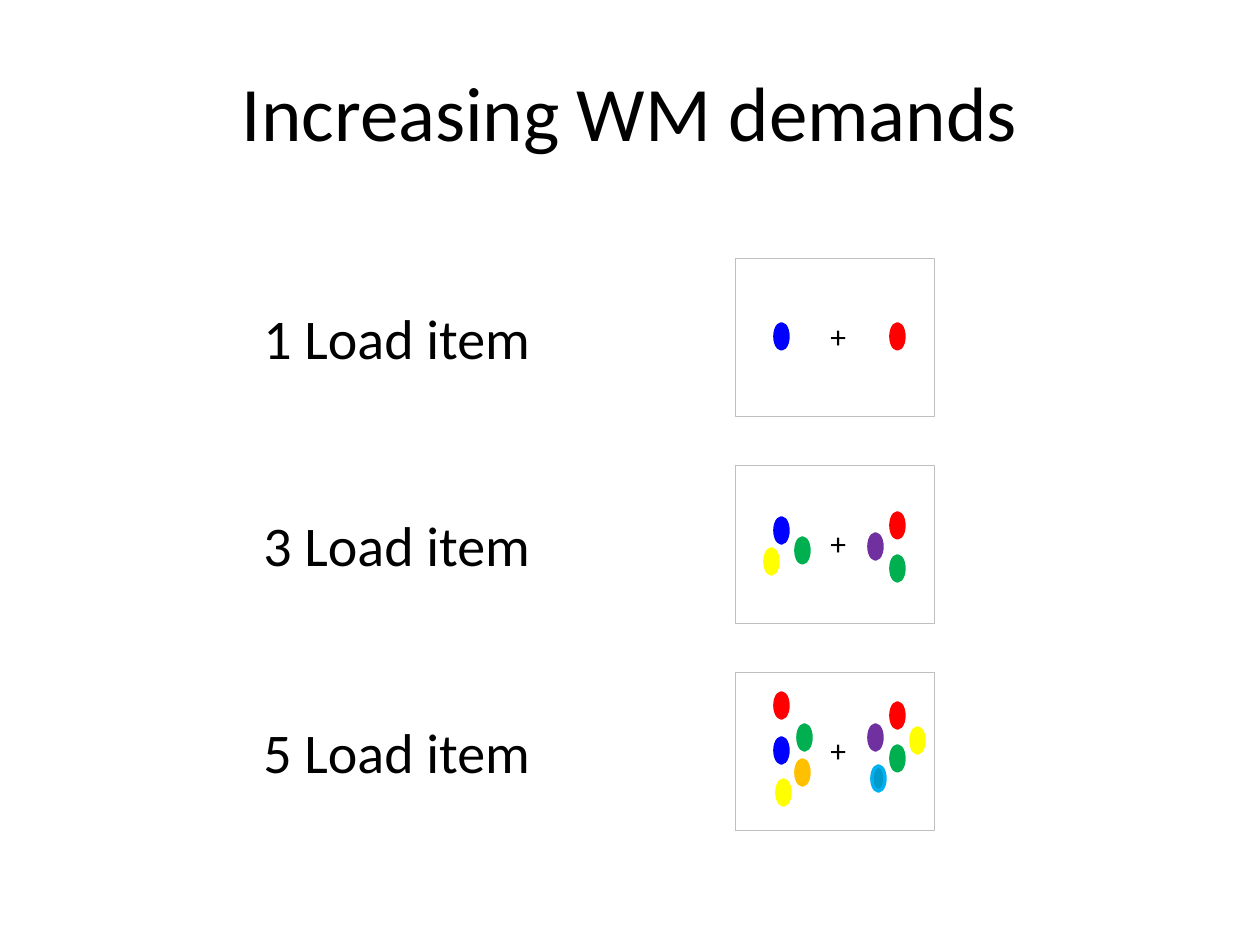
from pptx import Presentation
from pptx import util as u
from pptx.dml import color
from pptx.enum import shapes, text

SCALE = 914400 / 126


def px(value):
    return u.Emu(round(value * SCALE))


def rgb(value):
    return color.RGBColor.from_string(value)


class SlideBuilder:
    font_name = "Calibri"
    text_color = "000000"

    def __init__(self, slide):
        self.slide = slide

    def style_text(self, frame, wording, size):
        frame.text = wording
        for run in frame.paragraphs[0].runs:
            run.font.name = self.font_name
            run.font.size = u.Pt(size)
            run.font.color.rgb = rgb(self.text_color)

    def title(self, wording, box, size):
        shape = self.slide.shapes.title
        shape.left, shape.top, shape.width, shape.height = map(px, box)
        frame = shape.text_frame
        self.style_text(frame, wording, size)
        frame.vertical_anchor = text.MSO_ANCHOR.MIDDLE
        frame.paragraphs[0].alignment = text.PP_ALIGN.CENTER

    def label(self, container, wording, box, size):
        frame = container.add_textbox(*map(px, box)).text_frame
        self.style_text(frame, wording, size)
        frame.word_wrap = False
        frame.auto_size = text.MSO_AUTO_SIZE.SHAPE_TO_FIT_TEXT

    def shape(self, container, kind, box, fill, line, line_width):
        shape = container.add_shape(kind, *map(px, box))
        shape.shadow.inherit = False
        shape.fill.solid()
        shape.fill.fore_color.rgb = rgb(fill)
        shape.line.color.rgb = rgb(line)
        shape.line.width = u.Pt(line_width)

    def display(self, left, top, dots):
        container = self.slide.shapes.add_group_shape().shapes
        self.shape(container, shapes.MSO_SHAPE.RECTANGLE,
                   (left, top, 199, 158), "FFFFFF", "BFBFBF", 0.25)
        self.label(container, "+", (left + 83, top + 53, 42, 50), 18)
        for x, y, fill, line in dots:
            self.shape(container, shapes.MSO_SHAPE.OVAL,
                       (left + x, top + y, 13, 25), fill, line, 2)


BLUE, RED, GREEN = "0000FF", "FF0000", "00B050"
YELLOW, PURPLE, ORANGE = "FFFF00", "7030A0", "FFC000"
TEAL, SKY = "0099CC", "00B0F0"

LOADS = [
    ("1 Load item", [(40, 66, BLUE, BLUE), (156, 66, RED, RED)]),
    ("3 Load item", [
        (40, 53, BLUE, BLUE), (156, 48, RED, RED), (61, 73, GREEN, GREEN),
        (30, 84, YELLOW, YELLOW), (134, 69, PURPLE, PURPLE),
        (156, 91, GREEN, GREEN),
    ]),
    ("5 Load item", [
        (40, 66, BLUE, BLUE), (156, 31, RED, RED), (61, 88, ORANGE, ORANGE),
        (42, 108, YELLOW, YELLOW), (134, 53, PURPLE, PURPLE),
        (156, 74, GREEN, GREEN), (176, 56, YELLOW, YELLOW),
        (137, 94, TEAL, SKY), (40, 21, RED, RED), (63, 53, GREEN, GREEN),
    ]),
]

FIRST_TOP, ROW_PITCH = 258, 207

presentation = Presentation()
presentation.slide_width = px(1260)
presentation.slide_height = px(945)
slide = presentation.slides.add_slide(presentation.slide_layouts[5])
builder = SlideBuilder(slide)

builder.title("Increasing WM demands", (63, 32, 1134, 157), 44)
for row, (wording, dots) in enumerate(LOADS):
    top = FIRST_TOP + row * ROW_PITCH
    builder.display(735, top, dots)
    builder.label(slide.shapes, wording, (251, top + 39, 295, 81), 32)

presentation.save("out.pptx")
